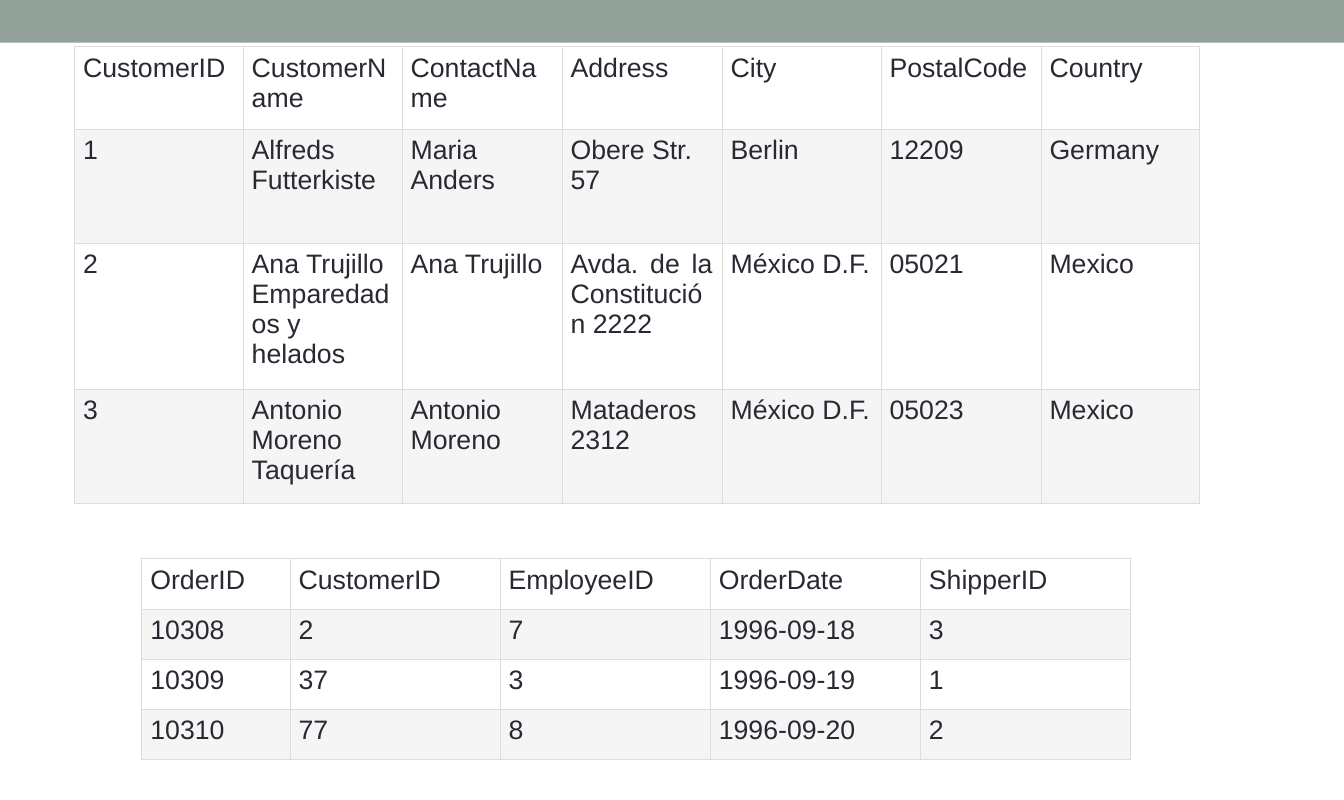
from dataclasses import dataclass

from lxml import etree
from pptx import Presentation
from pptx.dml.color import RGBColor
from pptx.enum.shapes import MSO_SHAPE
from pptx.enum.text import PP_ALIGN
from pptx.oxml.ns import qn
from pptx.util import Emu, Pt

RECTANGLE = MSO_SHAPE.RECTANGLE
LEFT, JUSTIFY = PP_ALIGN.LEFT, PP_ALIGN.JUSTIFY
PX = 9144  # EMU in one px, 100 px to the inch


@dataclass(frozen=True)
class Theme:
    font: str = "Arial"
    size: int = 18
    text: str = "292934"
    band: str = "F5F5F5"
    border: str = "DDDDDD"
    bar: str = "92A199"
    border_width: float = 0.75


@dataclass(frozen=True)
class DataTable:
    left: int
    top: int
    widths: tuple[int, ...]
    heights: tuple[int, ...]
    rows: tuple[tuple[str, ...], ...]
    justified: tuple[tuple[int, int], ...] = ()


THEME = Theme()

CUSTOMERS = DataTable(
    70, 44, (158, 149, 150, 150, 149, 150, 149), (77, 107, 137, 107),
    (
        ("CustomerID", "CustomerN\name", "ContactNa\nme", "Address",
         "City", "PostalCode", "Country"),
        ("1", "Alfreds Futterkiste", "Maria Anders", "Obere Str. 57",
         "Berlin", "12209", "Germany"),
        ("2", "Ana Trujillo Emparedad\vos y\vhelados", "Ana Trujillo",
         "Avda. de la Constitució n 2222", "México D.F.", "05021", "Mexico"),
        ("3", "Antonio Moreno Taquería", "Antonio\nMoreno",
         "Mataderos\n2312", "México D.F.", "05023", "Mexico"),
    ),
    justified=((2, 3), (3, 1)),
)

ORDERS = DataTable(
    133, 524, (139,) + (197,) * 4, (47,) * 4,
    (
        ("OrderID", "CustomerID", "EmployeeID", "OrderDate", "ShipperID"),
        ("10308", "2", "7", "1996-09-18", "3"),
        ("10309", "37", "3", "1996-09-19", "1"),
        ("10310", "77", "8", "1996-09-20", "2"),
    ),
)


def px(n: int) -> Emu:
    return Emu(n * PX)


def rgb(value: str) -> RGBColor:
    return RGBColor.from_string(value)


def set_borders(cell) -> None:
    """Border lines must come before the fill in the cell properties."""
    tc_pr = cell._tc.get_or_add_tcPr()
    for i, side in enumerate(("a:lnL", "a:lnR", "a:lnT", "a:lnB")):
        ln = etree.Element(qn(side), w=str(Pt(THEME.border_width)))
        fill = etree.SubElement(ln, qn("a:solidFill"))
        etree.SubElement(fill, qn("a:srgbClr"), val=THEME.border)
        tc_pr.insert(i, ln)


def format_cell(cell, text: str, banded: bool, justified: bool) -> None:
    cell.margin_left, cell.margin_top = px(8), px(6)
    cell.margin_right, cell.margin_bottom = px(9 if justified else 0), px(0)
    if banded:
        cell.fill.solid()
        cell.fill.fore_color.rgb = rgb(THEME.band)
    else:
        cell.fill.background()
    set_borders(cell)
    tf = cell.text_frame
    tf.text = text
    for p in tf.paragraphs:
        p.alignment = JUSTIFY if justified else LEFT
        for r in p.runs:
            r.font.name = THEME.font
            r.font.size = Pt(THEME.size)
            r.font.color.rgb = rgb(THEME.text)


def add_data_table(s, data: DataTable) -> None:
    table = s.shapes.add_table(
        len(data.heights), len(data.widths), px(data.left), px(data.top),
        px(sum(data.widths)), px(sum(data.heights))).table
    table.first_row = table.horz_banding = False
    for col, width in zip(table.columns, data.widths):
        col.width = px(width)
    for row, height in zip(table.rows, data.heights):
        row.height = px(height)
    for i, texts in enumerate(data.rows):
        for j, text in enumerate(texts):
            format_cell(table.cell(i, j), text, i % 2 == 1,
                        (i, j) in data.justified)


def add_top_bar(s, width: int, height: int) -> None:
    sp = s.shapes.add_shape(RECTANGLE, 0, 0, px(width), px(height))
    sp.shadow.inherit = False
    sp.fill.solid()
    sp.fill.fore_color.rgb = rgb(THEME.bar)
    sp.line.fill.background()


def main() -> None:
    prs = Presentation()
    prs.slide_width, prs.slide_height = px(1260), px(750)
    s = prs.slides.add_slide(prs.slide_layouts[6])

    # Top bar
    add_top_bar(s, 1260, 40)

    # Customers and orders
    for data in (CUSTOMERS, ORDERS):
        add_data_table(s, data)

    prs.save("out.pptx")


if __name__ == "__main__":
    main()
